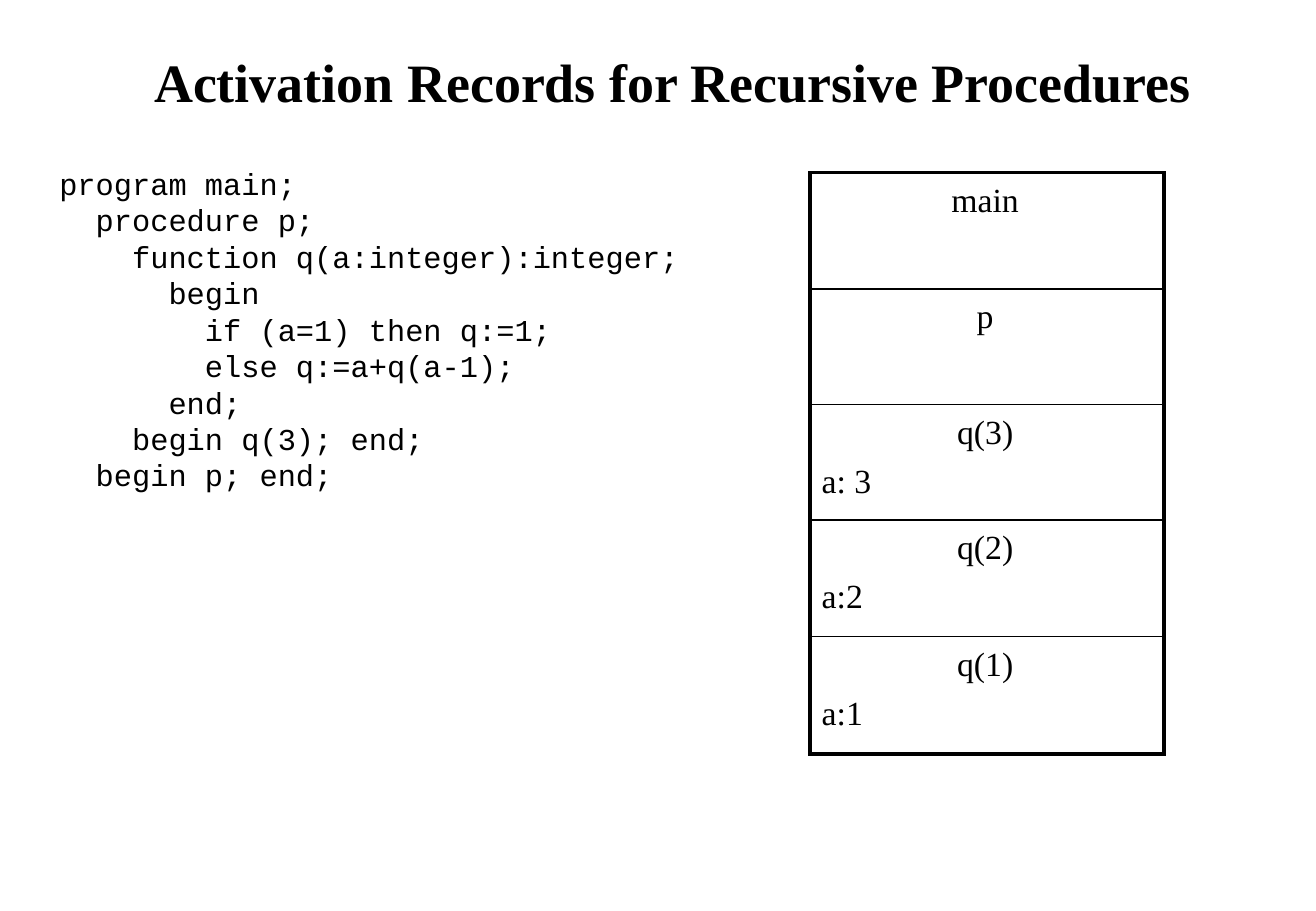
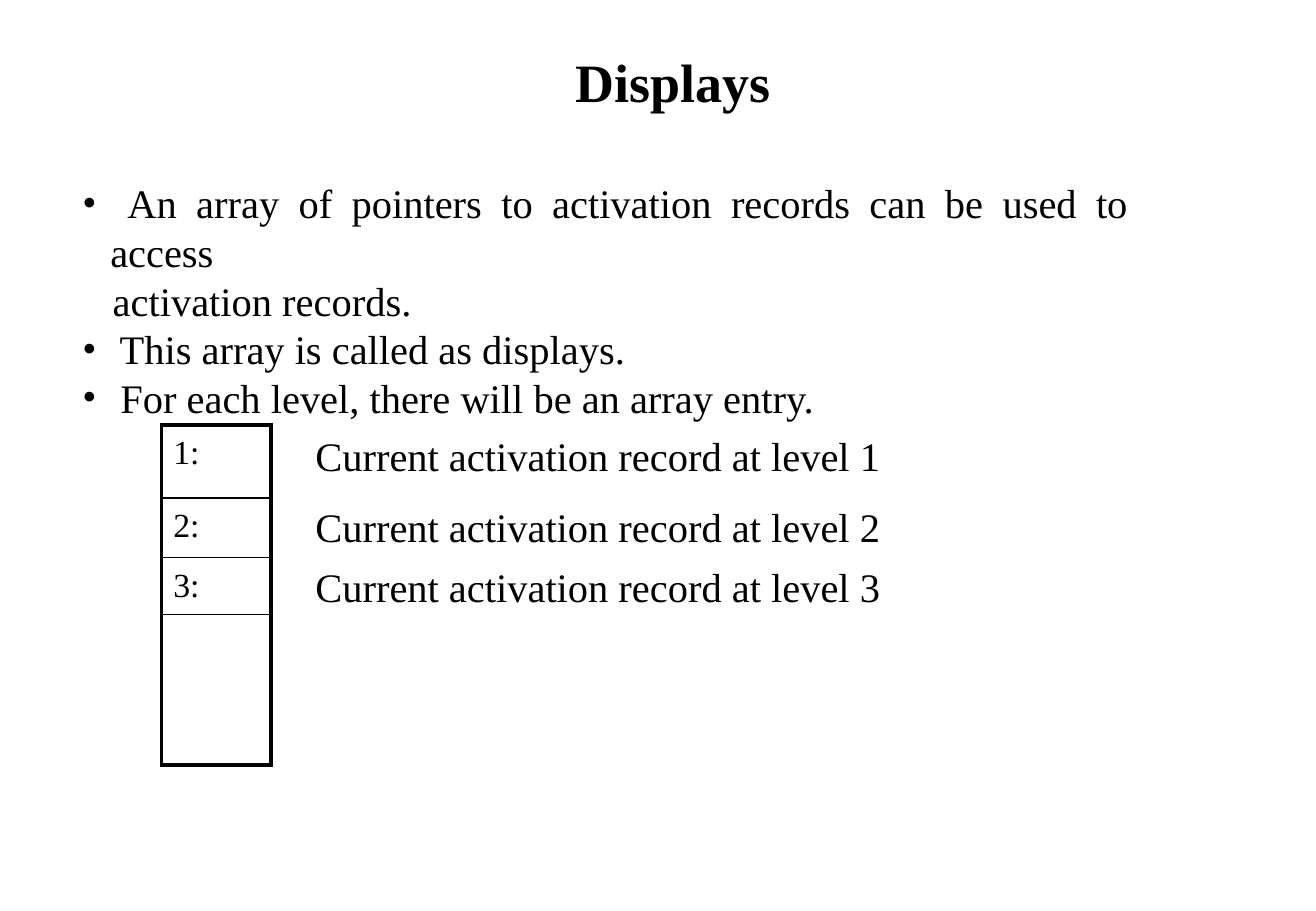
from dataclasses import dataclass
from itertools import pairwise

from lxml.etree import SubElement
from pptx import Presentation
from pptx.dml.color import RGBColor
from pptx.enum.shapes import MSO_CONNECTOR
from pptx.enum.text import MSO_ANCHOR, PP_ALIGN
from pptx.oxml.ns import qn
from pptx.util import Pt

PX = 9144  # EMU per px, 100 px to the inch


@dataclass(frozen=True)
class Theme:
    ink: RGBColor = RGBColor(0, 0, 0)
    paper: RGBColor = RGBColor(255, 255, 255)
    serif: str = "Times New Roman"
    mono: str = "Courier New"
    title: int = 32
    body: int = 24
    cell: int = 20
    code: int = 18
    cell_gap: int = 5
    thick: float = 2.25
    thin: float = 1


class Deck:
    def __init__(self, width, height, theme):
        self.prs = Presentation()
        self.prs.slide_width, self.prs.slide_height = width * PX, height * PX
        self.theme = theme
        self.s = None

    def slide(self, title):
        self.s = self.prs.slides.add_slide(self.prs.slide_layouts[5])
        fill = self.s.background.fill
        fill.solid()
        fill.fore_color.rgb = self.theme.paper
        sp = self.s.shapes.title
        sp.left, sp.top, sp.width, sp.height = 42 * PX, 17 * PX, 1025 * PX, 100 * PX
        tf = sp.text_frame
        tf.text = title
        tf.vertical_anchor = MSO_ANCHOR.MIDDLE
        tf.paragraphs[0].alignment = PP_ALIGN.CENTER
        self.style(tf, self.theme.title, bold=True)

    def style(self, tf, size, font=None, bold=False):
        for p in tf.paragraphs:
            for r in p.runs:
                r.font.name = font or self.theme.serif
                r.font.size = Pt(size)
                r.font.bold = bold
                r.font.color.rgb = self.theme.ink

    def text(self, x, y, w, h, text, size, font=None, shapes=None):
        sp = (shapes or self.s.shapes).add_textbox(x * PX, y * PX, w * PX, h * PX)
        tf = sp.text_frame
        tf.word_wrap = True
        tf.text = text
        self.style(tf, size, font)
        return tf

    def bullets(self, x, y, w, h, items):
        """items: (text, has_bullet, left margin in px)."""
        tf = self.text(x, y, w, h, "\n".join(text for text, _, _ in items),
                       self.theme.body)
        for p, (_, has_bullet, margin) in zip(tf.paragraphs, items):
            p.alignment = PP_ALIGN.JUSTIFY
            pPr = p._p.get_or_add_pPr()
            pPr.set("marL", str(margin * PX))
            pPr.set("indent", str(-margin * PX if has_bullet else 0))
            if has_bullet:
                SubElement(pPr, qn("a:buFont")).set("typeface", self.theme.serif)
                SubElement(pPr, qn("a:buChar")).set("char", "•")
            else:
                SubElement(pPr, qn("a:buNone"))

    def line(self, shapes, x1, y1, x2, y2, weight):
        c = shapes.add_connector(MSO_CONNECTOR.STRAIGHT,
                                 x1 * PX, y1 * PX, x2 * PX, y2 * PX)
        c.line.color.rgb = self.theme.ink
        c.line.width = Pt(weight)
        c.line._get_or_add_ln().set("cap", "sq")
        SubElement(c._element.spPr, qn("a:effectLst"))

    def stack(self, x, w, edges, cells, headed=False):
        """Column of cells between the edges; headed centres each first line."""
        t = self.theme
        shapes = self.s.shapes.add_group_shape().shapes
        for (top, bottom), text in zip(pairwise(edges), cells):
            tf = self.text(x, top, w, bottom - top, text, t.cell, shapes=shapes)
            if headed:
                tf.paragraphs[0].alignment = PP_ALIGN.CENTER
            for p in tf.paragraphs[1:]:
                p.space_before = Pt(t.cell_gap)
        first, last = edges[0], edges[-1]
        right = x + w + 3
        for y in edges:
            self.line(shapes, x, y, right, y,
                      t.thick if y in (first, last) else t.thin)
        for side in (x, right):
            self.line(shapes, side, first, side, last, t.thick)


CODE = """program main;
  procedure p;
    function q(a:integer):integer;
      begin
        if (a=1) then q:=1;
        else q:=a+q(a-1);
      end;
    begin q(3); end;
  begin p; end;"""


def recursion_slide(deck):
    deck.slide("Activation Records for Recursive Procedures")
    deck.text(39, 131, 540, 280, CODE, deck.theme.code, deck.theme.mono)
    deck.stack(667, 289, (142, 238, 333, 428, 524, 621),
               ("main", "p", "q(3)\na: 3", "q(2)\na:2", "q(1)\na:1"), headed=True)


def displays_slide(deck):
    deck.slide("Displays")
    deck.bullets(58, 142, 881, 210, (
        (" An array of pointers to activation records can be used to access", True, 23),
        ("activation records.", False, 25),
        (" This array is called as displays.", True, 23),
        (" For each level, there will be an array entry.", True, 23),
    ))
    deck.stack(133, 87, (350, 410, 459, 506, 630), ("1:", "2:", "3:"))
    for level, y in enumerate((350, 408, 458), start=1):
        deck.text(250, y, 520, 50, f"Current activation record at level {level}",
                  deck.theme.body)


def main():
    deck = Deck(1084, 750, Theme())
    recursion_slide(deck)
    displays_slide(deck)
    deck.prs.save("out.pptx")


if __name__ == "__main__":
    main()
